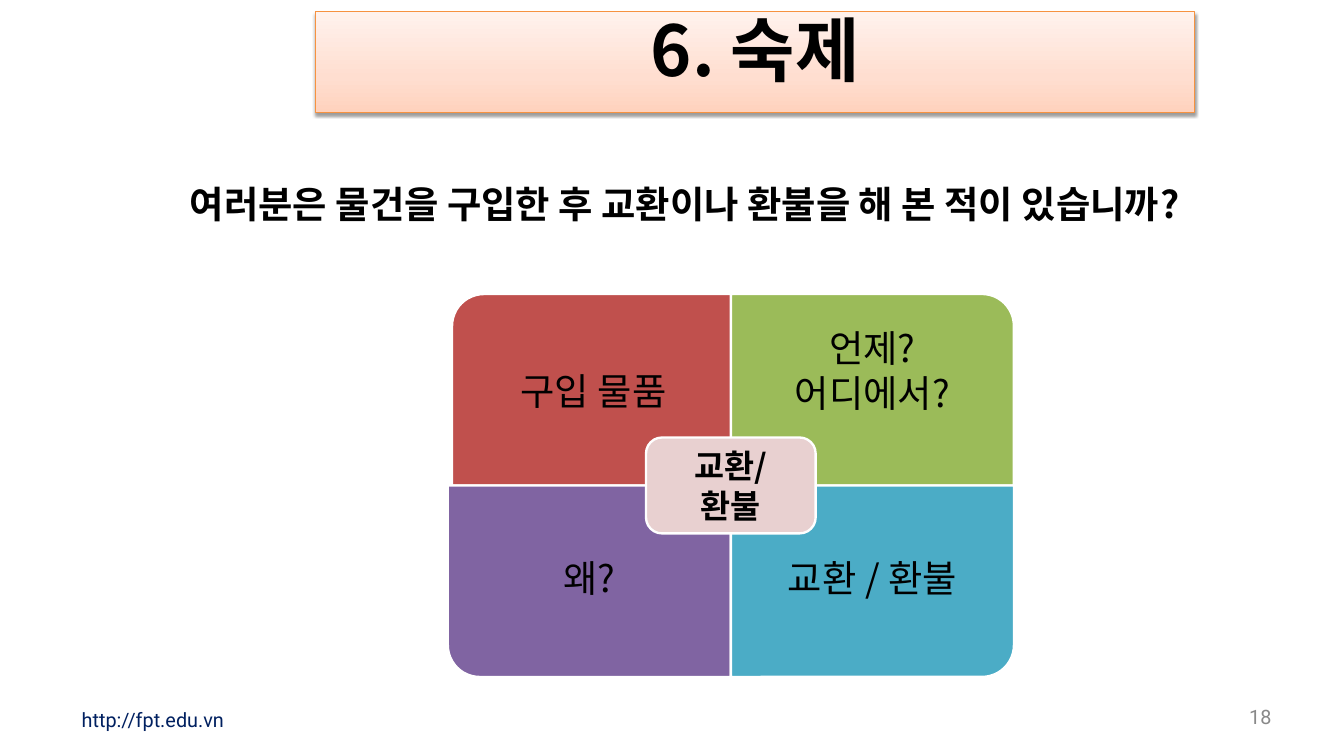
from copy import deepcopy

from lxml.etree import SubElement
from pptx import Presentation
from pptx.dml.color import RGBColor
from pptx.enum.shapes import MSO_SHAPE
from pptx.enum.text import MSO_ANCHOR, MSO_AUTO_SIZE, PP_ALIGN
from pptx.oxml import parse_xml
from pptx.oxml.ns import nsdecls, qn
from pptx.util import Cm, Pt

BLACK = RGBColor(0x00, 0x00, 0x00)
WHITE = RGBColor(0xFF, 0xFF, 0xFF)
NAVY = RGBColor(0x00, 0x20, 0x60)
GRAY = RGBColor(0x89, 0x89, 0x89)
ORANGE = RGBColor(0xF6, 0x92, 0x40)
PEACH = [RGBColor(0xFF, 0xD2, 0xBD), RGBColor(0xFF, 0xDE, 0xD0), RGBColor(0xFF, 0xF2, 0xED)]
RED = RGBColor(0xC0, 0x50, 0x4D)
GREEN = RGBColor(0x9B, 0xBB, 0x59)
PURPLE = RGBColor(0x80, 0x64, 0xA2)
BLUE = RGBColor(0x4B, 0xAC, 0xC6)
PINK = RGBColor(0xE8, 0xD0, 0xD0)
KOREAN_FONT = "Noto Sans CJK KR"
FOOTER_FONT = "Roboto"

TITLE = "6. 숙제"
QUESTION = "여러분은 물건을 구입한 후 교환이나 환불을 해 본 적이 있습니까?"
CENTER_TEXT = "교환/\n환불"
FOOTER = "http://fpt.edu.vn"
PAGE_NUMBER = "18"

# text, fill, column, row, rotation, left shift, vertical middle of the text
QUADRANTS = [
    ("구입 물품", RED, 0, 0, 270, 0.13, 11.81),
    ("언제?\n어디에서?", GREEN, 1, 0, 0, 0, 11.2),
    ("왜?", PURPLE, 0, 1, 180, 0, 17.48),
    ("교환 / 환불", BLUE, 1, 1, 90, 0, 17.48),
]
MIDDLE_X, MIDDLE_Y = 22.1, 14.68
QUADRANT_WIDTH, QUADRANT_HEIGHT = 8.56, 5.79
LABEL_HEIGHT = 4.34
CENTER_WIDTH, CENTER_HEIGHT = 5.13, 2.9


def write(shape, text, size, font=KOREAN_FONT, color=BLACK, bold=False,
          align=PP_ALIGN.CENTER, anchor=MSO_ANCHOR.MIDDLE, spacing=1.0, margins=(0.25, 0.13)):
    """Put formatted text into a shape."""
    frame = shape.text_frame
    frame.text = text
    frame.word_wrap = True
    frame.auto_size = MSO_AUTO_SIZE.NONE
    frame.vertical_anchor = anchor
    frame.margin_left = frame.margin_right = Cm(margins[0])
    frame.margin_top = frame.margin_bottom = Cm(margins[1])
    for paragraph in frame.paragraphs:
        paragraph.alignment = align
        paragraph.line_spacing = spacing
        for run in paragraph.runs:
            run.font.size = Pt(size)
            run.font.bold = bold
            run.font.color.rgb = color
            run.font.name = font
            SubElement(run.font._element, qn("a:ea"), typeface=font)


def add_text(slide, box, text, size, **options):
    """Add a text box at left, top, width, height in centimetres."""
    write(slide.shapes.add_textbox(*map(Cm, box)), text, size, **options)


def add_block(slide, kind, box, color):
    """Add a filled shape with a white outline."""
    shape = slide.shapes.add_shape(kind, *map(Cm, box))
    shape.shadow.inherit = False
    shape.fill.solid()
    shape.fill.fore_color.rgb = color
    shape.line.color.rgb = WHITE
    shape.line.width = Pt(2)
    return shape


def format_title(title):
    """Place the title and give it a gradient, an outline and a shadow."""
    title.left, title.top, title.width, title.height = map(Cm, (9.55, 0.36, 26.57, 3.05))
    title.fill.gradient()
    title.fill.gradient_angle = 90
    first = title.fill.gradient_stops[0]._gs
    middle = deepcopy(first)
    middle.set("pos", "35000")
    first.addnext(middle)
    for stop, color in zip(title.fill.gradient_stops, PEACH):
        stop.color.rgb = color
    title.line.color.rgb = ORANGE
    title.line.width = Pt(0.75)
    title._element.spPr.append(parse_xml(
        f'<a:effectLst {nsdecls("a")}><a:outerShdw blurRad="{Pt(3.1)}" dist="{Pt(1.6)}" '
        'dir="5400000" rotWithShape="0"><a:srgbClr val="000000"><a:alpha val="38000"/>'
        '</a:srgbClr></a:outerShdw></a:effectLst>'))
    write(title, TITLE, 60, bold=True, anchor=MSO_ANCHOR.TOP, spacing=0.9)


def add_quadrant(slide, text, color, column, row, rotation, shift, text_middle):
    """Add one quarter of the matrix with its label."""
    left = MIDDLE_X + (column - 1) * QUADRANT_WIDTH + shift
    top = MIDDLE_Y + (row - 1) * QUADRANT_HEIGHT
    width, height = QUADRANT_WIDTH, QUADRANT_HEIGHT
    if rotation % 180:
        width, height = height, width
    box = (left + (QUADRANT_WIDTH - width) / 2, top + (QUADRANT_HEIGHT - height) / 2, width, height)
    add_block(slide, MSO_SHAPE.ROUND_1_RECTANGLE, box, color).rotation = rotation
    label = (left, text_middle - LABEL_HEIGHT / 2, QUADRANT_WIDTH, LABEL_HEIGHT)
    add_text(slide, label, text, 32, margins=(0.64, 0.64))


def main():
    """Build and save the homework slide."""
    presentation = Presentation()
    presentation.slide_width, presentation.slide_height = Cm(40.64), Cm(22.86)
    slide = presentation.slides.add_slide(presentation.slide_layouts[5])
    format_title(slide.shapes.title)
    add_text(slide, (5.49, 5.51, 34.67, 1.63), QUESTION, 32, bold=True,
             align=PP_ALIGN.LEFT, anchor=MSO_ANCHOR.TOP, spacing=0.9)
    for quadrant in QUADRANTS:
        add_quadrant(slide, *quadrant)
    center_box = (MIDDLE_X - CENTER_WIDTH / 2, MIDDLE_Y - CENTER_HEIGHT / 2,
                  CENTER_WIDTH, CENTER_HEIGHT)
    center = add_block(slide, MSO_SHAPE.ROUNDED_RECTANGLE, center_box, PINK)
    write(center, CENTER_TEXT, 28, bold=True, margins=(0, 0))
    add_text(slide, (2.11, 21.16, 12.88, 1.22), FOOTER, 17, font=FOOTER_FONT, color=NAVY,
             align=PP_ALIGN.LEFT, margins=(0.36, 0.18))
    add_text(slide, (36.83, 21.16, 1.98, 1.04), PAGE_NUMBER, 17, font=FOOTER_FONT, color=GRAY,
             align=PP_ALIGN.RIGHT, margins=(0.36, 0.18))
    presentation.save("out.pptx")


if __name__ == "__main__":
    main()
